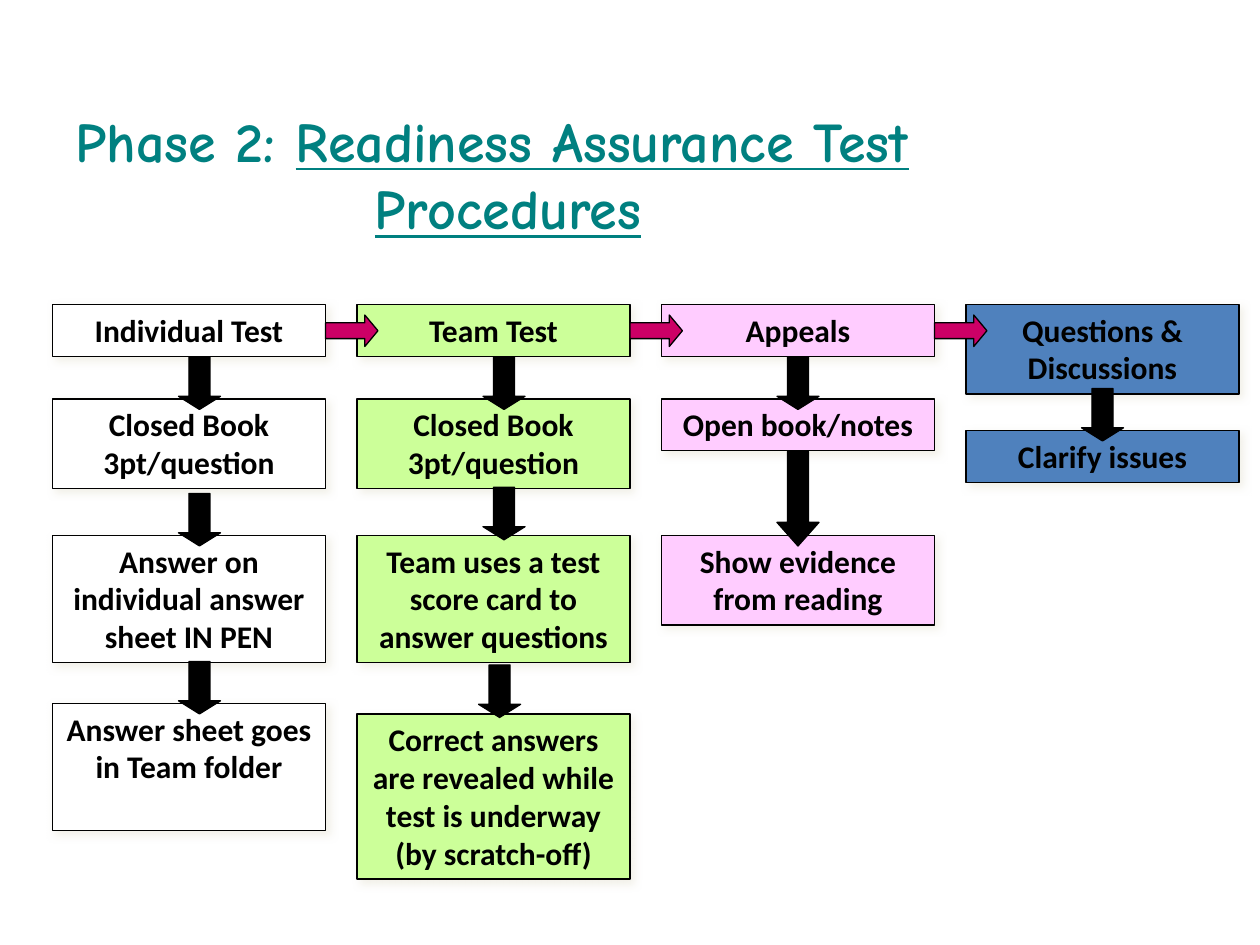
from lxml.etree import SubElement
from pptx import Presentation
from pptx.dml.color import RGBColor
from pptx.enum.shapes import MSO_SHAPE
from pptx.enum.text import MSO_ANCHOR, PP_ALIGN
from pptx.oxml.ns import qn
from pptx.util import Pt

BLACK = RGBColor(0x00, 0x00, 0x00)
WHITE = RGBColor(0xFF, 0xFF, 0xFF)
GREEN = RGBColor(0xCC, 0xFF, 0x99)
PINK = RGBColor(0xFF, 0xCC, 0xFF)
BLUE = RGBColor(0x4F, 0x81, 0xBD)
TEAL = RGBColor(0x00, 0x80, 0x80)
CRIMSON = RGBColor(0xCC, 0x00, 0x66)
SHADOW = RGBColor(0xEE, 0xEC, 0xE1)

LEFT, STEP, TOP, BOX_W = 30, 174, 174, 156
ARROW_W, ARROW_H = 24, 30

# Each column: fill, boxes (top, lines tall, text), down arrows (offset, top, height, head)
COLUMNS = [
    (WHITE,
     [(TOP, 1, "Individual Test"),
      (228, 2, "Closed Book 3pt/question"),
      (306, 3, "Answer on individual answer sheet IN PEN"),
      (402, 3, "Answer sheet goes in Team folder")],
     [(72, 204, ARROW_H, 7.5), (72, 282, ARROW_H, 7.5), (72, 378, ARROW_H, 7.5)]),
    (GREEN,
     [(TOP, 1, "Team Test"),
      (228, 2, "Closed Book 3pt/question"),
      (306, 3, "Team uses a test score card to answer questions"),
      (408, 4, "Correct answers are revealed while test is underway (by scratch-off)")],
     [(72, 204, ARROW_H, 7.5), (72, 278.5, ARROW_H, 7.5), (69.5, 380, ARROW_H, 7.5)]),
    (PINK,
     [(TOP, 1, "Appeals"),
      (228, 1, "Open book/notes"),
      (306, 2, "Show evidence from reading")],
     [(66, 204, ARROW_H, 7.5), (66, 258, 54, 13.5)]),
    (BLUE,
     [(TOP, 2, "Questions & Discussions"),
      (246, 1, "Clarify issues")],
     [(66, 222, ARROW_H, 7.5)]),
]


class SlideBuilder:
    """Holds the style and the current slide."""
    title_font, title_size = "Comic Neue", 32
    box_font, box_size = "Calibri", 18

    def __init__(self, slide):
        self.s = slide

    def style(self, r, font, size, color, underline=None):
        r.font.name, r.font.size, r.font.bold = font, Pt(size), True
        r.font.color.rgb = color
        r.font.underline = underline

    def title(self, lines):
        sp = self.s.shapes.title
        sp.left, sp.top, sp.width, sp.height = Pt(36), Pt(54), Pt(648), Pt(90)
        tf = sp.text_frame
        tf.vertical_anchor = MSO_ANCHOR.MIDDLE
        for i, (indent, runs) in enumerate(lines):
            p = tf.add_paragraph() if i else tf.paragraphs[0]
            p.alignment = PP_ALIGN.LEFT
            margin = p._p.get_or_add_pPr()
            margin.set("marL", str(Pt(indent)))
            margin.set("indent", "0")
            for text, underline in runs:
                r = p.add_run()
                r.text = text
                self.style(r, self.title_font, self.title_size, TEAL, underline)

    def shape(self, kind, x, y, w, h, fill):
        sp = self.s.shapes.add_shape(kind, Pt(x), Pt(y), Pt(w), Pt(h))
        sp.shadow.inherit = False
        sp.fill.solid()
        sp.fill.fore_color.rgb = fill
        sp.line.color.rgb = BLACK
        sp.line.width = Pt(0.75)
        return sp

    def box(self, x, y, lines, text, fill):
        height = 8 + 21.6 * lines
        sp = self.shape(MSO_SHAPE.RECTANGLE, x, y, BOX_W, height, fill)
        effects = sp._element.spPr.find(qn("a:effectLst"))
        shadow = SubElement(effects, qn("a:outerShdw"), blurRad=str(Pt(5)),
                            dist=str(Pt(3)), dir="2700000", rotWithShape="0")
        color = SubElement(shadow, qn("a:srgbClr"), val=str(SHADOW))
        SubElement(color, qn("a:alpha"), val="75000")
        tf = sp.text_frame
        tf.word_wrap = True
        tf.vertical_anchor = MSO_ANCHOR.TOP
        tf.text = text
        p = tf.paragraphs[0]
        p.alignment = PP_ALIGN.CENTER
        self.style(p.runs[0], self.box_font, self.box_size, BLACK)

    def arrow(self, kind, x, y, w, h, head, fill):
        sp = self.shape(kind, x, y, w, h, fill)
        sp.adjustments[0] = 0.5
        sp.adjustments[1] = head / min(w, h)


def main():
    prs = Presentation()
    prs.slide_width, prs.slide_height = Pt(720), Pt(540)
    b = SlideBuilder(prs.slides.add_slide(prs.slide_layouts[5]))

    # Title, with the second line indented
    b.title([(0, [("Phase 2: ", False), ("Readiness Assurance Test", True)]),
             (171, [("Procedures", True)])])

    # Columns of boxes
    for i, (fill, boxes, _) in enumerate(COLUMNS):
        for y, lines, text in boxes:
            b.box(LEFT + i * STEP, y, lines, text, fill)

    # Steps down each column
    for i, (_, _, arrows) in enumerate(COLUMNS):
        for dx, y, h, head in arrows:
            b.arrow(MSO_SHAPE.DOWN_ARROW, LEFT + i * STEP + dx, y,
                    ARROW_W, h, head, BLACK)

    # Links from one column to the next
    for i in range(len(COLUMNS) - 1):
        b.arrow(MSO_SHAPE.RIGHT_ARROW, LEFT + i * STEP + BOX_W, 180,
                30, 18, 7.5, CRIMSON)

    prs.save("out.pptx")


if __name__ == "__main__":
    main()
